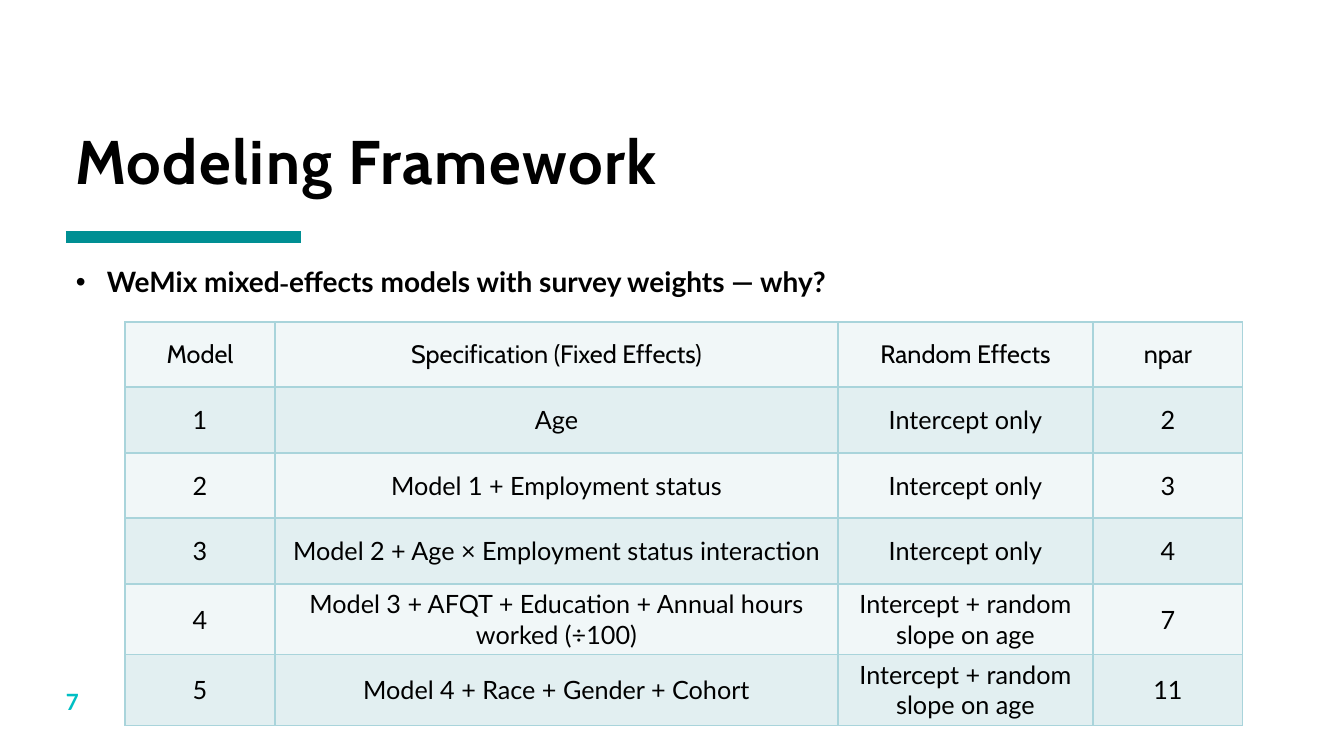
import pptx
import pptx.dml.color
import pptx.enum.shapes
import pptx.enum.text
import pptx.oxml
import pptx.oxml.ns
import pptx.util

SCALE = 914400 / 100.8
COLORS = {
    "ink": "000000",
    "rule": "008F93",
    "number": "00BFC4",
    "border": "A9D4DB",
    "light": "F1F7F8",
    "dark": "E2EFF1",
}
HEADING_FONT = "Cabin"
BODY_FONT = "Lato"
COLUMN_WIDTHS = (150, 563, 255, 150)
MODELS = [
    ("Model", "Specification (Fixed Effects)", "Random Effects", "npar"),
    ("1", "Age", "Intercept only", "2"),
    ("2", "Model 1 + Employment status", "Intercept only", "3"),
    ("3", "Model 2 + Age × Employment status interaction", "Intercept only", "4"),
    ("4", "Model 3 + AFQT + Education + Annual hours worked (÷100)",
     "Intercept + random slope on age", "7"),
    ("5", "Model 4 + Race + Gender + Cohort", "Intercept + random slope on age", "11"),
]


def px(n):
    return pptx.util.Emu(round(n * SCALE))


def rgb(name):
    return pptx.dml.color.RGBColor.from_string(COLORS[name])


def style_run(r, size, font=BODY_FONT, color="ink", bold=False):
    r.font.size = pptx.util.Pt(size)
    r.font.name = font
    r.font.bold = bold
    r.font.color.rgb = rgb(color)


def set_insets(tf, left=0, top=0, right=0, bottom=0):
    tf.margin_left, tf.margin_top = px(left), px(top)
    tf.margin_right, tf.margin_bottom = px(right), px(bottom)


def add_title(s, x, y, w, h):
    sp = s.shapes.title
    sp.left, sp.top, sp.width, sp.height = px(x), px(y), px(w), px(h)
    tf = sp.text_frame
    tf.text = "Modeling Framework"
    tf.auto_size = pptx.enum.text.MSO_AUTO_SIZE.NONE
    tf.vertical_anchor = pptx.enum.text.MSO_ANCHOR.BOTTOM
    set_insets(tf, left=9)
    p = tf.paragraphs[0]
    p.alignment = pptx.enum.text.PP_ALIGN.LEFT
    p.line_spacing = 0.8
    r = p.runs[0]
    style_run(r, 44, HEADING_FONT, bold=True)
    r.font._element.set("spc", "100")


def add_rule(s, x, y, w):
    line = s.shapes.add_connector(
        pptx.enum.shapes.MSO_CONNECTOR.STRAIGHT, px(x), px(y), px(x + w), px(y))
    line.line.color.rgb = rgb("rule")
    line.line.width = pptx.util.Pt(8)
    pptx.oxml.ns.qn("a:effectLst")
    line._element.spPr.append(pptx.oxml.parse_xml(
        f'<a:effectLst {pptx.oxml.ns.nsdecls("a")}/>'))


def add_bullet(s, x, y, w, h):
    tf = s.shapes.add_textbox(px(x), px(y), px(w), px(h)).text_frame
    tf.word_wrap = False
    p = tf.paragraphs[0]
    pPr = p._p.get_or_add_pPr()
    pPr.set("marL", str(px(31)))
    pPr.set("indent", str(px(-31)))
    pPr.append(pptx.oxml.parse_xml(
        f'<a:buFont {pptx.oxml.ns.nsdecls("a")} typeface="Arial"/>'))
    pPr.append(pptx.oxml.parse_xml(
        f'<a:buChar {pptx.oxml.ns.nsdecls("a")} char="•"/>'))
    for text, font in (
        ("WeMix mixed", BODY_FONT),
        ("‐", "Times New Roman"),
        ("effects models with survey weights — why?", BODY_FONT),
    ):
        r = p.add_run()
        r.text = text
        style_run(r, 20, font, bold=True)


def set_borders(cell):
    tcPr = cell._tc.get_or_add_tcPr()
    for side in ("lnL", "lnR", "lnT", "lnB"):
        tcPr.append(pptx.oxml.parse_xml(
            f'<a:{side} {pptx.oxml.ns.nsdecls("a")} w="{pptx.util.Pt(1)}"><a:solidFill>'
            f'<a:srgbClr val="{COLORS["border"]}"/></a:solidFill></a:{side}>'))


def add_model_table(s, x, y, w, h):
    table = s.shapes.add_table(
        len(MODELS), len(COLUMN_WIDTHS), px(x), px(y), px(w), px(h)).table
    for column, width in zip(table.columns, COLUMN_WIDTHS):
        column.width = px(width)
    for i, values in enumerate(MODELS):
        table.rows[i].height = px(65 + i % 2)
        for j, value in enumerate(values):
            cell = table.cell(i, j)
            set_borders(cell)
            cell.fill.solid()
            cell.fill.fore_color.rgb = rgb("dark" if i % 2 else "light")
            cell.vertical_anchor = pptx.enum.text.MSO_ANCHOR.MIDDLE
            cell.text_frame.text = value
            p = cell.text_frame.paragraphs[0]
            p.alignment = pptx.enum.text.PP_ALIGN.CENTER
            style_run(p.runs[0], 18, BODY_FONT if i else HEADING_FONT)


def add_slide_number(s, x, y, w, h):
    tf = s.shapes.add_textbox(px(x), px(y), px(w), px(h)).text_frame
    tf.word_wrap = True
    set_insets(tf)
    tf.text = "7"
    style_run(tf.paragraphs[0].runs[0], 16, color="number", bold=True)


def main():
    prs = pptx.Presentation()
    prs.slide_width, prs.slide_height = px(1344), px(756)
    s = prs.slides.add_slide(prs.slide_layouts[5])
    add_rule(s, 66, 237, 235)
    add_title(s, 66, 65, 1210, 131)
    add_model_table(s, 125, 322, sum(COLUMN_WIDTHS), 393)
    add_bullet(s, 66, 260, 787, 44)
    add_slide_number(s, 66, 688, 59, 45)
    prs.save("out.pptx")


if __name__ == "__main__":
    main()
